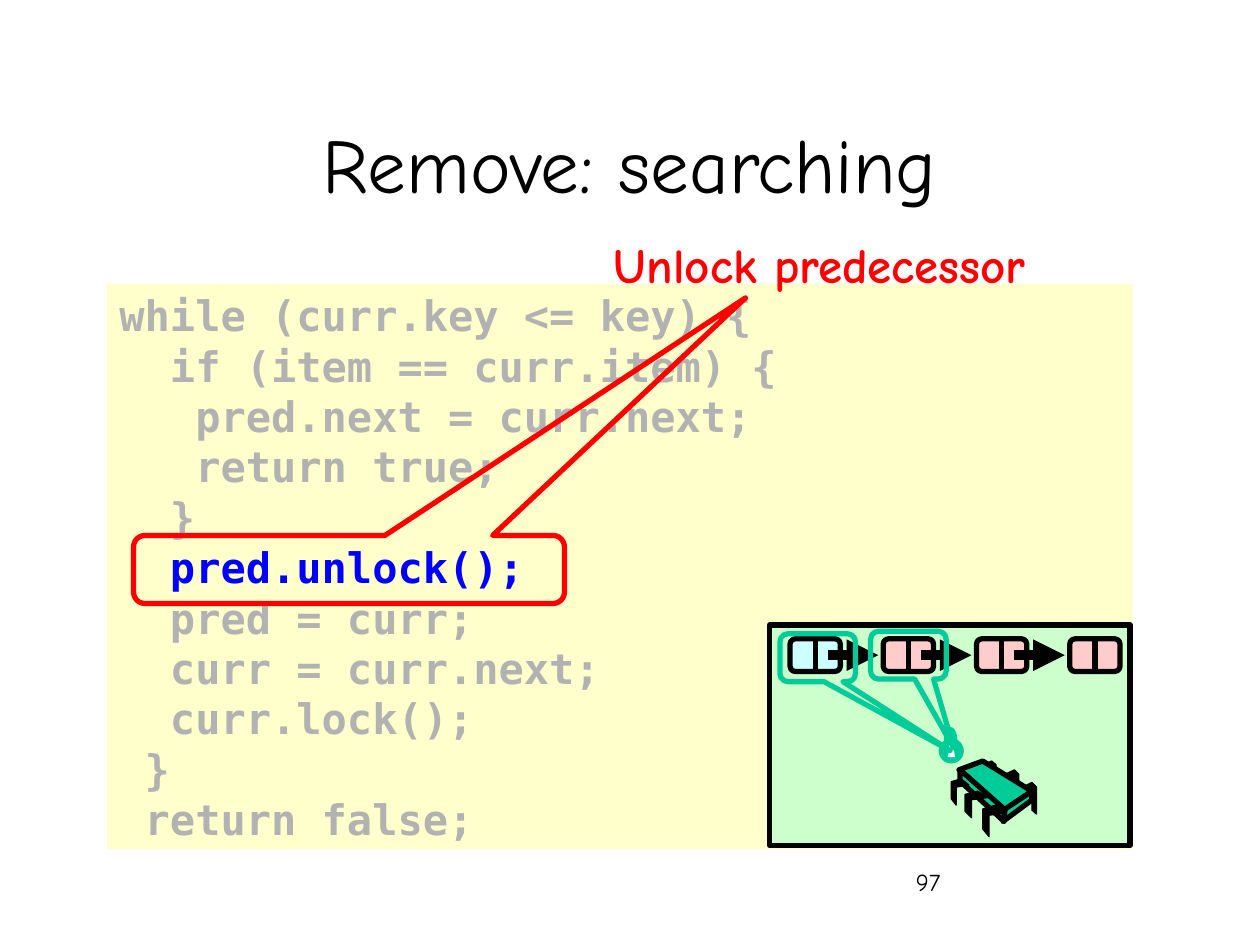
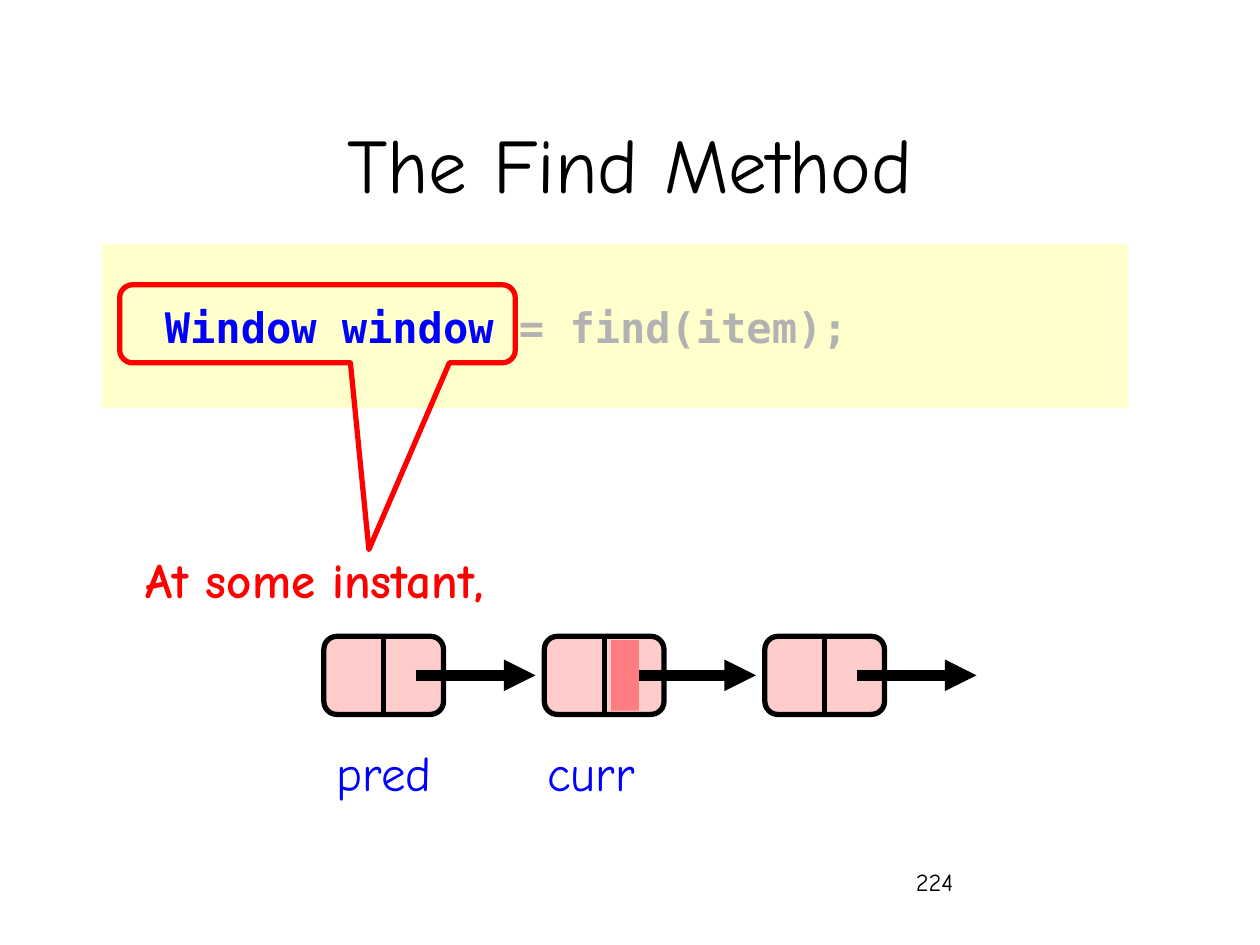
import math
from dataclasses import dataclass
from typing import NamedTuple

import pptx
import pptx.dml.color
import pptx.enum.shapes
import pptx.enum.text
import pptx.oxml
import pptx.oxml.ns
import pptx.util

COLUMNS, ROWS = 100, 75
WIDTH, HEIGHT = pptx.util.Inches(10), pptx.util.Inches(7.5)
HAND, MONO = "Comic Neue", "DejaVu Sans Mono"
SHAPE = pptx.enum.shapes.MSO_SHAPE
ALIGN = pptx.enum.text.PP_ALIGN
ANCHOR = pptx.enum.text.MSO_ANCHOR
CORNER = 0.167

COLORS = {
    "black": "000000",
    "white": "FFFFFF",
    "code_panel": "FFFFCC",
    "dimmed": "B2B2B2",
    "focus": "0000FF",
    "note": "FF0000",
    "inset": "CCFFCC",
    "head_node": "CCFFFF",
    "node": "FFCCCC",
    "marked": "FF7C80",
    "thread": "00CC99",
}


class Box(NamedTuple):
    col: float
    row: float
    cols: float
    rows: float


class Text(NamedTuple):
    text: str
    color: str
    size: float
    font: str = HAND
    bold: bool = False


class Leg(NamedTuple):
    box: Box
    outline: list


@dataclass
class NodeChain:
    first: Box
    pitch: float
    fills: list
    arrow_start: float
    arrow_length: float
    arrows: int = 3


TITLE = Box(7.5, 6.7, 85, 12.5)
PAGE = Box(71.7, 68.3, 20.8, 5)

INSET_CHAIN = NodeChain(Box(62.7, 50.7, 4, 2.6), 7.4,
                        ["head_node", "node", "node", "node"], 65.7, 4)
WINDOW_CHAIN = NodeChain(Box(25.7, 50.5, 9.5, 6.2), 17.5, ["node"] * 3, 33, 9.5)

BACK_LEG = [(0, 0.14), (0.67, 0), (1, 0.14), (1, 1), (0.67, 0.88), (0.67, 0.28), (0, 0.44)]
FRONT_LEG = [(0.56, 0), (1, 0.24), (0.28, 0.32), (0.28, 1), (0, 0.76), (0, 0.12)]
BACK_LEGS = [
    Leg(Box(81.2, 62.1, 1.05, 2.5), BACK_LEG),
    Leg(Box(79.8, 61.1, 1.05, 2.5), BACK_LEG),
    Leg(Box(78, 60.4, 1.05, 2.1), BACK_LEG),
]
FRONT_LEGS = [
    Leg(Box(78, 63.9, 1.8, 2.5), FRONT_LEG),
    Leg(Box(76.6, 62.8, 1.8, 2.1), FRONT_LEG),
    Leg(Box(75.5, 61.8, 1.4, 2.1), FRONT_LEG),
]
CHIP_FACES = [
    [(78, 60.4), (81.9, 62.8), (79.7, 64.3), (76.1, 61.1)],
    [(76.2, 61.1), (79.8, 64.3), (79.7, 65.2), (76.2, 62)],
    [(81.9, 62.8), (81.9, 63.5), (79.6, 65.2), (79.8, 64.2)],
]

REMOVE_CODE = [
    ["while (curr.key <= key) {"],
    ["  if (item == curr.item) {"],
    ["   pred.next = curr.next;"],
    ["   return true;"],
    ["  }"],
    ["  pred.unlock();", "focus"],
    ["  pred = curr;"],
    ["  curr = curr.next;"],
    ["  curr.lock();"],
    [" }"],
    [" return false;"],
]


def x(col: float) -> int:
    return round(WIDTH * col / COLUMNS)


def y(row: float) -> int:
    return round(HEIGHT * row / ROWS)


def emu(box: Box) -> tuple:
    return x(box.col), y(box.row), x(box.cols), y(box.rows)


def rgb(name: str) -> pptx.dml.color.RGBColor:
    return pptx.dml.color.RGBColor.from_string(COLORS[name])


def paint(sp, fill: str = None, line: str = None, weight: float = 3) -> None:
    sp.shadow.inherit = False
    if fill:
        sp.fill.solid()
        sp.fill.fore_color.rgb = rgb(fill)
    else:
        sp.fill.background()
    if line:
        sp.line.color.rgb = rgb(line)
        sp.line.width = pptx.util.Pt(weight)
    else:
        sp.line.fill.background()


def shape(s, kind, box: Box, fill: str = None, line: str = None, adjust: tuple = ()):
    sp = s.shapes.add_shape(kind, *emu(box))
    for i, value in enumerate(adjust):
        sp.adjustments[i] = value
    paint(sp, fill, line)
    return sp


def callout(s, box: Box, tip: tuple, color: str) -> None:
    shape(s, SHAPE.ROUNDED_RECTANGULAR_CALLOUT, box, None, color, (*tip, CORNER))


def polygon(s, points: list, fill: str, line: str = None, weight: float = 3) -> None:
    corners = [(x(col), y(row)) for col, row in points]
    builder = s.shapes.build_freeform(*corners[0], scale=1.0)
    builder.add_line_segments(corners[1:], close=True)
    paint(builder.convert_to_shape(), fill, line, weight)


def line(s, start: tuple, end: tuple, weight: float, arrow: bool = False):
    c = s.shapes.add_connector(pptx.enum.shapes.MSO_CONNECTOR.STRAIGHT,
                               x(start[0]), y(start[1]), x(end[0]), y(end[1]))
    c.line.color.rgb = rgb("black")
    c.line.width = pptx.util.Pt(weight)
    if arrow:
        ln = c.line._get_or_add_ln()
        tail = pptx.oxml.parse_xml(
            f'<a:tailEnd {pptx.oxml.ns.nsdecls("a")} type="triangle"/>')
        ln.append(tail)
    c._element.spPr.append(
        pptx.oxml.parse_xml(f'<a:effectLst {pptx.oxml.ns.nsdecls("a")}/>'))
    return c


def write(p, texts: list, align=ALIGN.LEFT) -> None:
    p.alignment = align
    for t in texts:
        r = p.add_run()
        r.text = t.text
        r.font.name = t.font
        r.font.size = pptx.util.Pt(t.size)
        r.font.bold = t.bold
        r.font.color.rgb = rgb(t.color)


def label(s, box: Box, text: Text, align=ALIGN.CENTER, wrap: bool = True) -> None:
    tf = s.shapes.add_textbox(*emu(box)).text_frame
    tf.word_wrap = wrap
    write(tf.paragraphs[0], [text], align)


def code_panel(s, box: Box, lines: list, anchor=ANCHOR.TOP) -> None:
    tf = shape(s, SHAPE.RECTANGLE, box, "code_panel").text_frame
    tf.word_wrap = True
    tf.vertical_anchor = anchor
    for i, texts in enumerate(lines):
        p = tf.add_paragraph() if i else tf.paragraphs[0]
        p.line_spacing = pptx.util.Pt(28.8)
        write(p, texts)


def code(text: str, color: str = "dimmed") -> Text:
    return Text(text, color, 24, MONO, True)


def note(text: str) -> Text:
    return Text(text, "note", 28, HAND, True)


def node_chain(s, chain: NodeChain) -> None:
    col, row, cols, rows = chain.first
    for i, fill in enumerate(chain.fills):
        box = Box(col + i * chain.pitch, row, cols, rows)
        node = shape(s, SHAPE.ROUNDED_RECTANGLE, box, fill, "black", (CORNER,))
        middle = box.col + cols / 2
        divider = line(s, (middle, row), (middle, row + rows), 3)
        divider.begin_connect(node, 0)
        divider.end_connect(node, 2)
    level = row + rows / 2
    for i in range(chain.arrows):
        start = chain.arrow_start + i * chain.pitch
        line(s, (start, level), (start + chain.arrow_length, level), 6, True)


def half_ellipse(radius_cols: float, radius_rows: float) -> list:
    angles = [math.pi * i / 12 for i in range(13)]
    return [(75.45 - radius_cols * math.cos(a), 58.9 - radius_rows * math.sin(a))
            for a in angles]


def padlock(s) -> None:
    shape(s, SHAPE.OVAL, Box(74.5, 58.6, 2, 2), "thread")
    shape(s, SHAPE.OVAL, Box(75.3, 59, 0.5, 0.5), "white")
    polygon(s, [(75.2, 60.1), (75.4, 59.4), (75.7, 59.4), (75.8, 60.1)], "white")
    polygon(s, half_ellipse(0.55, 1.2) + half_ellipse(0.25, 0.6)[::-1], "thread")


def legs(s, group: list) -> None:
    for box, outline in group:
        points = [(box.col + u * box.cols, box.row + v * box.rows) for u, v in outline]
        polygon(s, points, "black", "black", 0.75)


def chip(s) -> None:
    legs(s, BACK_LEGS)
    for face in CHIP_FACES:
        polygon(s, face, "thread", "black")
    legs(s, FRONT_LEGS)


def new_slide(prs, title: str, page: str):
    s = prs.slides.add_slide(prs.slide_layouts[5])
    sp = s.shapes.title
    sp.left, sp.top, sp.width, sp.height = emu(TITLE)
    sp.text_frame.vertical_anchor = ANCHOR.MIDDLE
    write(sp.text_frame.paragraphs[0], [Text(title, "black", 44)], ALIGN.CENTER)
    label(s, PAGE, Text(page, "black", 14), ALIGN.LEFT)
    return s


def remove_slide(prs) -> None:
    s = new_slide(prs, "Remove: searching", "97")
    code_panel(s, Box(8.5, 22.5, 81.4, 44.9), [[code(*entry)] for entry in REMOVE_CODE])
    callout(s, Box(10.6, 42.5, 34.2, 5.4), (0.92, -3.99), "note")
    label(s, Box(38.8, 18.1, 52.5, 5.7), note("Unlock predecessor"))
    shape(s, SHAPE.RECTANGLE, Box(61.1, 49.6, 28.6, 17.5), "inset", "black")
    node_chain(s, INSET_CHAIN)
    padlock(s)
    chip(s)
    callout(s, Box(69.1, 50.1, 6, 3.8), (0.6, 1.94), "thread")
    callout(s, Box(61.9, 50.3, 6, 3.8), (1.75, 1.94), "thread")


def find_slide(prs) -> None:
    s = new_slide(prs, "The Find Method", "224")
    code_panel(s, Box(8.1, 19.4, 81.4, 13),
               [[code("  Window window ", "focus"), code("= find(item);")]], ANCHOR.MIDDLE)
    callout(s, Box(9.5, 22.6, 31.4, 6.2), (0.13, 2.89), "note")
    label(s, Box(4.3, 43.1, 42.7, 5.7), note("At some instant, "))
    node_chain(s, WINDOW_CHAIN)
    label(s, Box(25.3, 58.4, 10.4, 5.7), Text("pred", "focus", 28), wrap=False)
    label(s, Box(42, 58.4, 9.8, 5.7), Text("curr", "focus", 28), wrap=False)
    shape(s, SHAPE.RECTANGLE, Box(48.5, 50.8, 2.2, 5.6), "marked")


def main() -> None:
    prs = pptx.Presentation()
    prs.slide_width, prs.slide_height = WIDTH, HEIGHT
    remove_slide(prs)
    find_slide(prs)
    prs.save("out.pptx")


if __name__ == "__main__":
    main()
